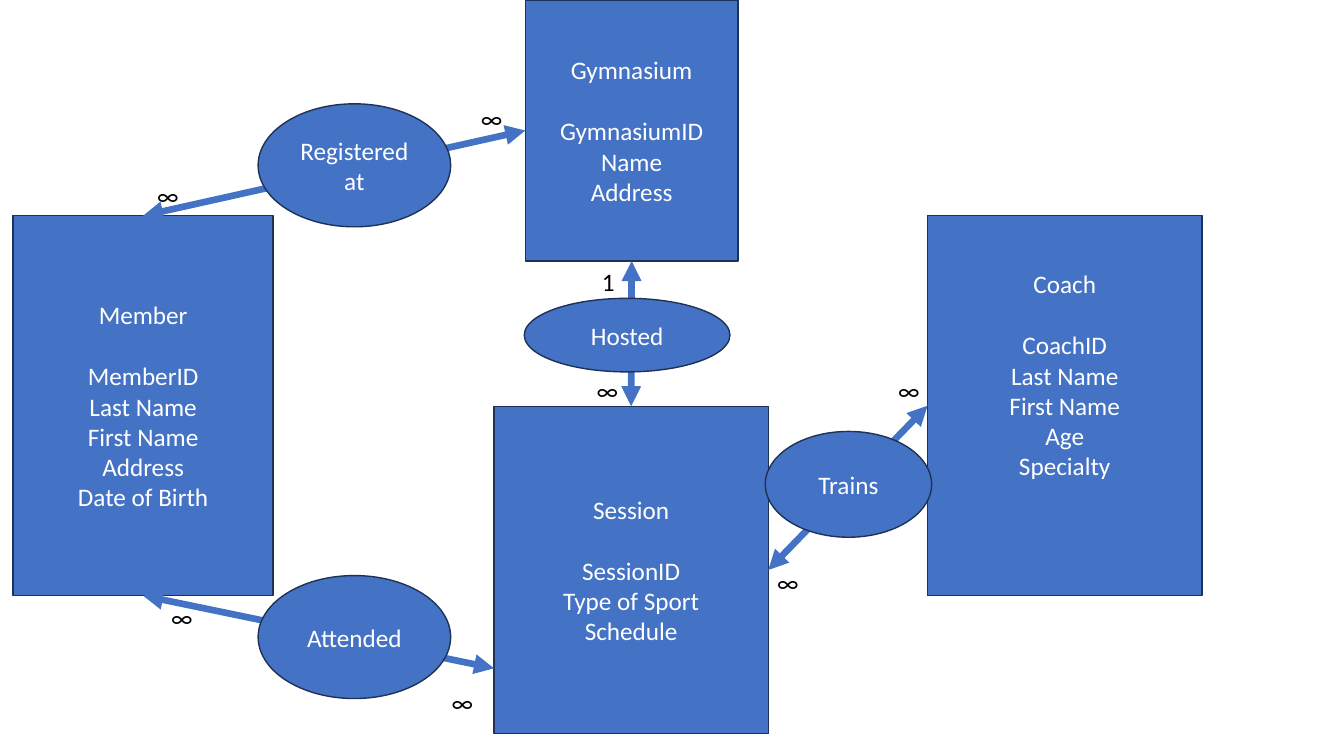
from lxml.etree import SubElement
from pptx import Presentation
from pptx.dml.color import RGBColor
from pptx.enum.shapes import MSO_CONNECTOR, MSO_SHAPE
from pptx.enum.text import MSO_ANCHOR, PP_ALIGN
from pptx.oxml.ns import qn
from pptx.util import Inches, Pt

BLUE, NAVY, WHITE, BLACK = "4472C4", "1E3256", "FFFFFF", "000000"
TOP, LEFT, BOTTOM, RIGHT = range(4)
MANY, ONE = "∞", "1"
TEXT_SIZE, LINE_HEIGHT = 18, 22

entities = {
    "Member": ((0.13, 2.14, 2.58, 3.77), 0,
               ["MemberID", "Last Name", "First Name", "Address", "Date of Birth"]),
    "Session": ((4.9, 4.03, 2.72, 3.25), 0,
                ["SessionID", "Type of Sport", "Schedule"]),
    "Coach": ((9.2, 2.14, 2.72, 3.77), 2,
              ["CoachID", "Last Name", "First Name", "Age", "Specialty"]),
    "Gymnasium": ((5.21, 0, 2.11, 2.59), 0,
                  ["GymnasiumID", "Name", "Address"]),
}
relationships = [
    ("Registered at", (2.56, 1.03, 1.91, 1.22), ("Member", TOP), ("Gymnasium", LEFT),
     [(MANY, 1.46, 1.74), (MANY, 4.67, 0.98)]),
    ("Attended", (2.56, 5.71, 1.91, 1.22), ("Member", BOTTOM), ("Session", None),
     [(MANY, 1.6, 5.93), (MANY, 4.38, 6.77)]),
    ("Hosted", (5.2, 2.96, 2.04, 0.73), ("Gymnasium", BOTTOM), ("Session", TOP),
     [(ONE, 5.87, 2.59), (MANY, 5.82, 3.67)]),
    ("Trains", (7.59, 4.28, 1.65, 1.05), ("Session", RIGHT), ("Coach", LEFT),
     [(MANY, 7.61, 5.58), (MANY, 8.81, 3.67)]),
]
SITE_FRACTIONS = {TOP: (0.5, 0), LEFT: (0, 0.5), BOTTOM: (0.5, 1),
                  RIGHT: (1, 0.5), None: (0, 0.8)}

deck = Presentation()
deck.slide_width, deck.slide_height = Inches(13.33), Inches(7.5)
slide = deck.slides.add_slide(deck.slide_layouts[6])


def color(hex_code):
    return RGBColor.from_string(hex_code)


def write(frame, lines, hex_code, align):
    frame.word_wrap = True
    frame.text = "\n".join(lines)
    for paragraph in frame.paragraphs:
        paragraph.alignment = align
        font = paragraph.runs[0].font
        font.name, font.size = "Calibri", Pt(TEXT_SIZE)
        font.color.rgb = color(hex_code)


def add_node(kind, box, lines):
    node = slide.shapes.add_shape(kind, *map(Inches, box))
    node.shadow.inherit = False
    node.fill.solid()
    node.fill.fore_color.rgb = color(BLUE)
    node.line.color.rgb = color(NAVY)
    node.line.width = Pt(1)
    node.text_frame.vertical_anchor = MSO_ANCHOR.MIDDLE
    write(node.text_frame, lines, WHITE, PP_ALIGN.CENTER)
    return node


def site_point(entity, site):
    left, top, width, height = entities[entity][0]
    across, down = SITE_FRACTIONS[site]
    return Inches(left + across * width), Inches(top + down * height)


def add_link(start, end):
    link = slide.shapes.add_connector(
        MSO_CONNECTOR.STRAIGHT, *site_point(*start), *site_point(*end))
    for (entity, site), connect in ((start, link.begin_connect), (end, link.end_connect)):
        if site is not None:
            connect(entity_nodes[entity], site)
    link.line.color.rgb = color(BLUE)
    link.line.width = Pt(4.75)
    outline = link.line._get_or_add_ln()
    for arrow in ("a:headEnd", "a:tailEnd"):
        SubElement(outline, qn(arrow), type="triangle")
    SubElement(link._element.spPr, qn("a:effectLst"))


entity_nodes = {}
for entity, (box, lines_raised, attributes) in entities.items():
    node = add_node(MSO_SHAPE.RECTANGLE, box, [entity, *attributes])
    node.text_frame.paragraphs[0].space_after = Pt(LINE_HEIGHT)
    node.text_frame.margin_bottom = Inches(0.05) + Pt(lines_raised * LINE_HEIGHT)
    entity_nodes[entity] = node

for relationship, box, start, end, cardinalities in relationships:
    add_link(start, end)
    add_node(MSO_SHAPE.OVAL, box, [relationship])
    for cardinality, left, top in cardinalities:
        label = slide.shapes.add_textbox(
            Inches(left), Inches(top), Inches(0.35), Inches(0.4))
        write(label.text_frame, [cardinality], BLACK, PP_ALIGN.LEFT)

deck.save("out.pptx")
